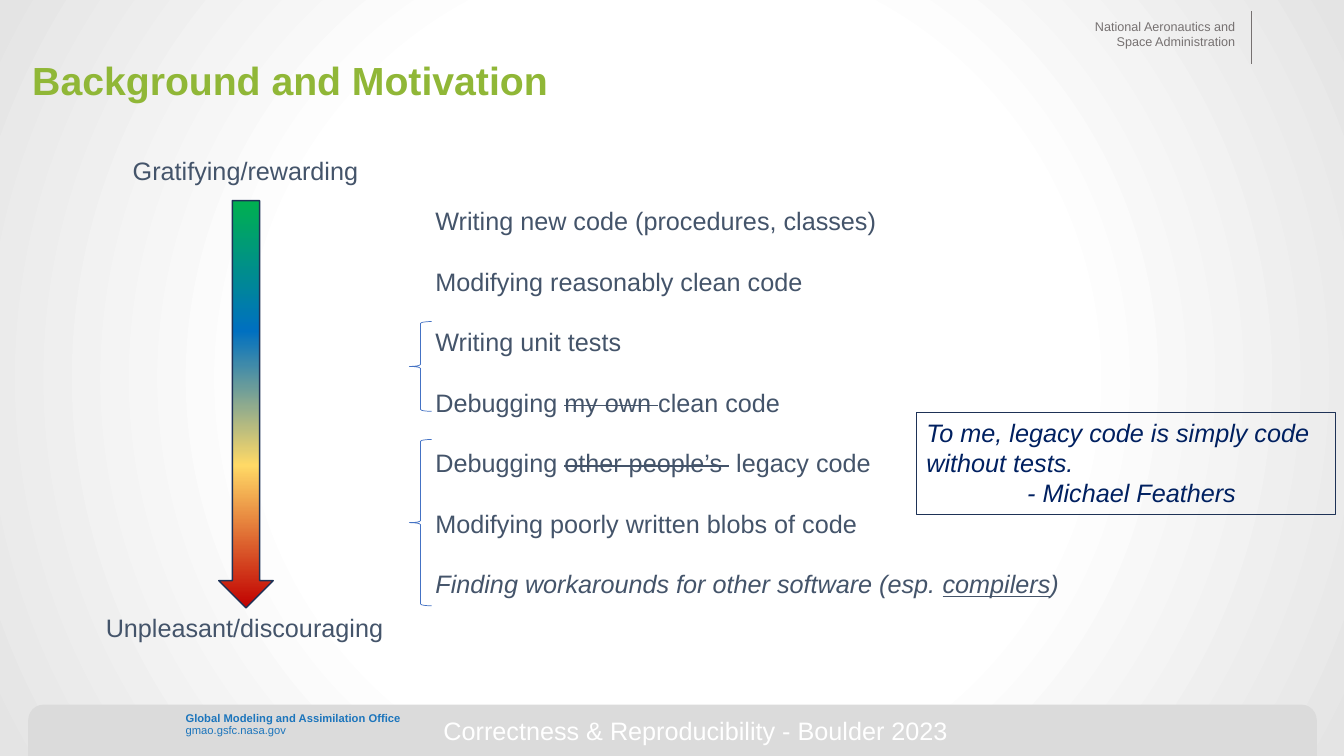
"""Build the Background and Motivation slide."""
from lxml import etree
from pptx import Presentation, util as u
from pptx.dml.color import RGBColor
from pptx.enum import shapes, text
from pptx.oxml.ns import qn

THEME = {
    "font": "Arial",
    "sizes": {"title": 28, "body": 18, "agency": 9, "office": 8},
    "colors": {"title": "90B737", "body": "44546A", "quote": "002060", "footer": "FFFFFF",
               "office": "1C75BC", "agency": "767171", "bar": "DBDBDB",
               "outline": "1E3256", "brace": "4472C4"},
    "backdrop": [(0.52, "FFFFFF"), (1, "E4E4E4")],
    "scale": [(0, "00B050"), (0.32, "0070C0"), (0.65, "FFD966"), (1, "C00000")],
}

STRIKE, ITALIC, BOLD = {"strike": True}, {"italic": True}, {"bold": True}
TITLE = [[("Background and Motivation", BOLD)]]
ACTIVITIES = [
    [("Writing new code (procedures, classes)", {})],
    [("Modifying reasonably clean code", {})],
    [("Writing unit tests", {})],
    [("Debugging ", {}), ("my own ", STRIKE), ("clean code", {})],
    [("Debugging ", {}), ("other people’s ", STRIKE), (" legacy code", {})],
    [("Modifying poorly written blobs of code", {})],
    [("Finding workarounds for other software (esp. ", ITALIC),
     ("compilers", {"italic": True, "underline": True}), (")", ITALIC)],
]
BEST = [[("Gratifying/rewarding", {})]]
WORST = [[("Unpleasant/discouraging", {})]]
QUOTE = [[("To me, legacy code is simply code without tests.", ITALIC)],
         [("- Michael Feathers", ITALIC)]]
AGENCY = [[("National Aeronautics and", {})], [("Space Administration", {})]]
OFFICE = [[("Global Modeling and Assimilation Office", BOLD)], [("gmao.gsfc.nasa.gov", {})]]
FOOTER = [[("Correctness & Reproducibility - Boulder 2023", {})]]

SCALE_TOP, SCALE_HEIGHT = 1.99, 4.04
BRACES = [(3.19, 0.89), (4.36, 1.65)]
LEFT, CENTER, RIGHT = text.PP_ALIGN.LEFT, text.PP_ALIGN.CENTER, text.PP_ALIGN.RIGHT
SHAPE = shapes.MSO_SHAPE


def inches(box):
    return [u.Inches(length) for length in box]


def color(name):
    return RGBColor.from_string(THEME["colors"][name])


def set_stops(gradient, stops):
    stop_list = gradient.find(qn("a:gsLst"))
    for stop in list(stop_list):
        stop_list.remove(stop)
    for position, value in stops:
        stop = etree.SubElement(stop_list, qn("a:gs"), pos=str(round(position * 100000)))
        etree.SubElement(stop, qn("a:srgbClr"), val=value)


def paint_background(slide):
    slide.background.fill.gradient()
    gradient = slide.element.find(".//" + qn("a:gradFill"))
    set_stops(gradient, THEME["backdrop"])
    gradient.remove(gradient.find(qn("a:lin")))
    circle = etree.SubElement(gradient, qn("a:path"), path="circle")
    etree.SubElement(circle, qn("a:fillToRect"), l="50000", t="50000", r="50000", b="50000")


def write(shape, paragraphs, size, ink, align=LEFT, inset=None,
          anchor=text.MSO_ANCHOR.TOP, line_spacing=None, gap=0):
    frame = shape.text_frame
    settings = {"word_wrap": True, "vertical_anchor": anchor}
    if inset is not None:
        settings.update({f"margin_{side}": inset for side in ("left", "top", "right", "bottom")})
    for name, value in settings.items():
        setattr(frame, name, value)
    for index, runs in enumerate(paragraphs):
        paragraph = frame.add_paragraph() if index else frame.paragraphs[0]
        paragraph.alignment = align
        paragraph.line_spacing = line_spacing
        if index and gap:
            paragraph.space_before = u.Pt(gap)
        for words, style in runs:
            run = paragraph.add_run()
            run.text = words
            formats = {"name": THEME["font"], "size": u.Pt(THEME["sizes"][size]), **style}
            if formats.pop("strike", False):
                run.font._element.set("strike", "sngStrike")
            for name, value in formats.items():
                setattr(run.font, name, value)
            run.font.color.rgb = color(ink)
    return frame


def add_text(slide, box, *content, **layout):
    return write(slide.shapes.add_textbox(*inches(box)), *content, **layout)


def add_shape(slide, kind, box, outline=None, width=0):
    shape = slide.shapes.add_shape(kind, *inches(box))
    shape.shadow.inherit = False
    shape.fill.background()
    if outline:
        shape.line.color.rgb = color(outline)
        shape.line.width = u.Pt(width)
    else:
        shape.line.fill.background()
    return shape


def add_branding(slide):
    bar = add_shape(slide, SHAPE.ROUND_2_SAME_RECTANGLE, (0.28, 6.99, 12.78, 0.51))
    bar.adjustments[0] = 0.3
    bar.fill.solid()
    bar.fill.fore_color.rgb = color("bar")
    add_text(slide, (1.84, 7.07, 2.82, 0.24), OFFICE, "office", "office",
             inset=0, line_spacing=0.9)
    add_text(slide, (10.71, 0.19, 1.54, 0.3), AGENCY, "agency", "agency", align=RIGHT, inset=0)
    rule = slide.shapes.add_connector(shapes.MSO_CONNECTOR.STRAIGHT,
                                      *inches((12.41, 0.11, 12.41, 0.64)))
    rule.line.color.rgb = color("agency")
    rule.line.width = u.Pt(0.5)
    etree.SubElement(rule._element.spPr, qn("a:effectLst"))


def add_scale(slide):
    bottom = SCALE_TOP + SCALE_HEIGHT
    add_text(slide, (0.78, 1.49, 3.31, 0.4), BEST, "body", "body", align=CENTER)
    add_text(slide, (0.77, bottom, 3.31, 0.4), WORST, "body", "body", align=CENTER)
    arrow = add_shape(slide, SHAPE.DOWN_ARROW, (2.17, SCALE_TOP, 0.54, SCALE_HEIGHT), "outline", 1)
    arrow.fill.gradient()
    gradient = arrow._element.spPr.find(qn("a:gradFill"))
    set_stops(gradient, THEME["scale"])
    arrow.fill.gradient_angle = 270


def add_quote(slide):
    box = add_shape(slide, SHAPE.RECTANGLE, (9.09, 4.09, 4.16, 1.01), "outline", 0.75)
    frame = write(box, QUOTE, "body", "quote")
    frame.paragraphs[-1]._p.get_or_add_pPr().set("marL", str(u.Inches(1)))


def main():
    presentation = Presentation()
    presentation.slide_width, presentation.slide_height = inches((13.33, 7.5))
    slide = presentation.slides.add_slide(presentation.slide_layouts[6])
    paint_background(slide)
    add_branding(slide)
    add_text(slide, (0.32, 0.2, 10.17, 1.24), TITLE, "title", "title",
             inset=0, anchor=text.MSO_ANCHOR.MIDDLE, line_spacing=0.9)
    add_text(slide, (4.22, SCALE_TOP, 7.41, SCALE_HEIGHT), ACTIVITIES, "body", "body", gap=21.6)
    add_scale(slide)
    add_quote(slide)
    for top, height in BRACES:
        add_shape(slide, SHAPE.LEFT_BRACE, (4.06, top, 0.22, height), "brace", 0.5)
    add_text(slide, (4.3, 7.05, 5.79, 0.4), FOOTER, "body", "footer")
    presentation.save("out.pptx")


if __name__ == "__main__":
    main()
